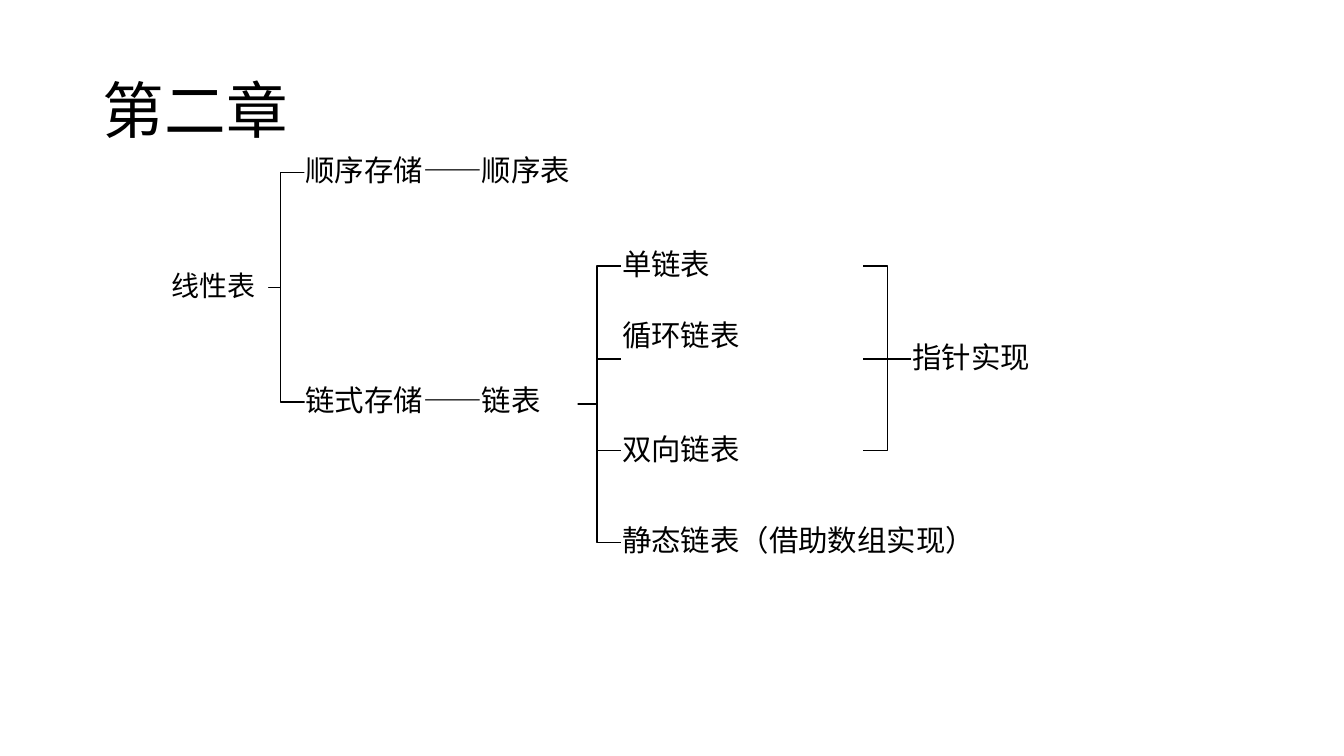
import pptx
import pptx.dml.color
import pptx.enum.shapes
import pptx.enum.text
import pptx.oxml.ns
import pptx.util
from lxml import etree

Inches = pptx.util.Inches
Pt = pptx.util.Pt
RGB = pptx.dml.color.RGBColor

THEME = {
    "font": "Noto Sans CJK SC",
    "ink": RGB(0, 0, 0),
    "paper": RGB(255, 255, 255),
    "title": Pt(44),
    "root": Pt(20),
    "node": Pt(21),
    "line": Pt(1),
}
BOX_HEIGHT = 0.73
INSET = 0.01


def write_text(shape, text, size, insets):
    frame = shape.text_frame
    frame.text = text
    frame_format = {
        "word_wrap": True,
        "auto_size": pptx.enum.text.MSO_AUTO_SIZE.NONE,
        "vertical_anchor": pptx.enum.text.MSO_ANCHOR.MIDDLE,
        **insets,
    }
    for name, value in frame_format.items():
        setattr(frame, name, value)
    paragraph = frame.paragraphs[0]
    paragraph.alignment = pptx.enum.text.PP_ALIGN.LEFT
    paragraph.line_spacing = 0.9
    font = paragraph.runs[0].font
    for name, value in {"name": THEME["font"], "size": size, "bold": False}.items():
        setattr(font, name, value)
    font.color.rgb = THEME["ink"]
    # East Asian typeface follows the Latin one
    latin = font._element.find(pptx.oxml.ns.qn("a:latin"))
    east_asian = etree.Element(pptx.oxml.ns.qn("a:ea"), typeface=THEME["font"])
    latin.addnext(east_asian)


def add_elbow(start, end):
    middle = (start[0] + end[0]) / 2
    points = [start, (middle, start[1]), (middle, end[1]), end]
    points = [(Inches(x), Inches(y)) for x, y in points]
    builder = slide.shapes.build_freeform(*points[0])
    builder.add_line_segments(points[1:], close=False)
    elbow = builder.convert_to_shape()
    elbow.shadow.inherit = False
    elbow.fill.background()
    elbow.line.color.rgb = THEME["ink"]
    elbow.line.width = THEME["line"]


presentation = pptx.Presentation()
presentation.slide_width = Inches(13.33)
presentation.slide_height = Inches(7.5)
slide = presentation.slides.add_slide(presentation.slide_layouts[5])

# Title
title = slide.shapes.title
position = {"left": 0.92, "top": 0.4, "width": 11.5, "height": 1.45}
for name, value in position.items():
    setattr(title, name, Inches(value))
write_text(title, "第二章", THEME["title"], {})

# Brackets from each parent to its children
list_rows = [2.64, 3.56, 4.47, 5.38]
storage_rows = [1.71, 3.99]
for row in storage_rows:
    add_elbow((2.54, 2.85), (3.02, row))
for row in list_rows:
    add_elbow((5.68, 4.01), (6.16, row))

# Brackets joining the pointer-based lists
pointer_row = list_rows[1]
for row in (list_rows[0], list_rows[2]):
    add_elbow((8.56, row), (9.04, pointer_row))
link = slide.shapes.add_connector(
    pptx.enum.shapes.MSO_CONNECTOR.STRAIGHT,
    Inches(8.56), Inches(pointer_row), Inches(9.04), Inches(pointer_row))
link.line.color.rgb = THEME["ink"]
link.line.width = THEME["line"]
etree.SubElement(link._element.spPr, pptx.oxml.ns.qn("a:effectLst"))

# Nodes: text, left, middle, width, size, bottom inset
nodes = [
    ("线性表", 1.69, 2.85, 0.97, "root", INSET),
    ("顺序存储——顺序表", 3.02, storage_rows[0], 3.2, "node", INSET),
    ("链式存储——链表", 3.02, storage_rows[1], 2.71, "node", INSET),
    ("单链表", 6.16, list_rows[0], 2.39, "node", INSET),
    ("循环链表", 6.16, list_rows[1], 2.39, "node", 0.44),
    ("双向链表", 6.16, list_rows[2], 2.39, "node", INSET),
    ("指针实现", 9.04, pointer_row, 2.39, "node", INSET),
    ("静态链表（借助数组实现）", 6.16, list_rows[3], 4.13, "node", INSET),
]
for text, left, middle, width, size, bottom in nodes:
    box = slide.shapes.add_shape(
        pptx.enum.shapes.MSO_SHAPE.RECTANGLE, Inches(left),
        Inches(middle - BOX_HEIGHT / 2), Inches(width), Inches(BOX_HEIGHT))
    box.shadow.inherit = False
    box.fill.solid()
    box.fill.fore_color.rgb = THEME["paper"]
    box.line.fill.background()
    insets = {f"margin_{side}": Inches(INSET) for side in ("left", "top", "right")}
    insets["margin_bottom"] = Inches(bottom)
    write_text(box, text, THEME[size], insets)

presentation.save("out.pptx")
